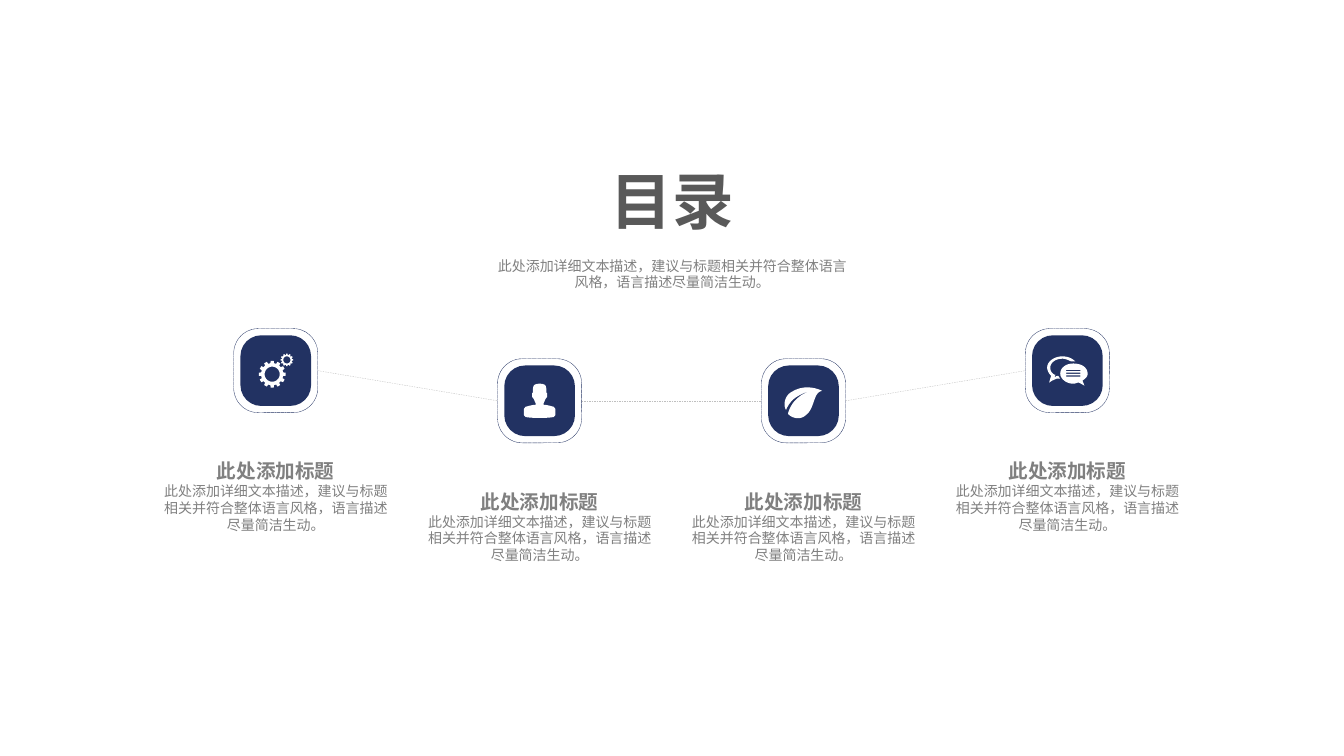
from dataclasses import dataclass
from itertools import pairwise
from math import cos, pi, sin

from lxml.etree import SubElement
from pptx import Presentation
from pptx.dml.color import RGBColor
from pptx.enum.dml import MSO_LINE_DASH_STYLE as Dash
from pptx.enum.shapes import MSO_CONNECTOR_TYPE as Connector, MSO_SHAPE as Preset
from pptx.enum.text import MSO_ANCHOR as Anchor, MSO_AUTO_SIZE as AutoSize, PP_ALIGN as Align
from pptx.oxml.ns import qn
from pptx.util import Cm, Pt

NAVY = RGBColor(0x22, 0x32, 0x62)
DARK_GRAY = RGBColor(0x59, 0x59, 0x59)
GRAY = RGBColor(0x80, 0x80, 0x80)
LIGHT_GRAY = RGBColor(0xBF, 0xBF, 0xBF)
WHITE = RGBColor(0xFF, 0xFF, 0xFF)
FONT = "Noto Sans CJK SC"

HEADING = "此处添加标题"
DESCRIPTION = "此处添加详细文本描述，建议与标题相关并符合整体语言风格，语言描述尽量简洁生动。"

TILE, RING = 1.78, 2.12
CORNER = 0.294
FIRST_X, STEP_X = 6.95, 6.65
HIGH_Y, LOW_Y = 9.34, 10.1
CAPTION_WIDTH, CAPTION_HEIGHT, CAPTION_DROP = 6.3, 2.13, 2.11

Point = tuple[float, float]
Contour = list[Point]
Icon = list[list[Contour]]


@dataclass(frozen=True)
class Section:
    x: float
    y: float
    icon: Icon


def curve(start: Point, *segments: tuple[Point, ...]) -> Contour:
    """Trace segments of one point (straight) or three points (Bézier)."""
    points = [start]
    for segment in segments:
        if len(segment) == 1:
            points.append(segment[0])
            continue
        nodes = (points[-1], *segment)
        for step in range(1, 11):
            t = step / 10
            weights = ((1 - t) ** 3, 3 * t * (1 - t) ** 2, 3 * t * t * (1 - t), t ** 3)
            points.append((sum(w * n[0] for w, n in zip(weights, nodes)),
                           sum(w * n[1] for w, n in zip(weights, nodes))))
    return points


def gear(x: float, y: float, tip: float, root: float, hole: float) -> list[Contour]:
    def polar(radius: float, angle: float) -> Point:
        return x + radius * cos(angle), y + radius * sin(angle)

    teeth = 12
    pitch = 2 * pi / teeth
    rim = [polar(radius, (tooth + offset) * pitch)
           for tooth in range(teeth)
           for radius, offset in ((root, -0.3), (tip, -0.22), (tip, 0.22), (root, 0.3))]
    return [rim, [polar(hole, -2 * pi * step / 40) for step in range(40)]]


def bar(top: float) -> Contour:
    return [(-3, top), (-3, top + 3), (33, top + 3), (33, top)]


# Icon outlines: hundredths of a centimetre from the tile centre
GEARS = [gear(-9, 9, 34, 28, 19), gear(28, -27, 16, 13, 9)]

PERSON_HALF = curve(
    (0, -43), ((6, -43), (12, -42), (15, -38)), ((17, -33), (17, -28), (17, -20)),
    ((19, -20),), ((19, -10),), ((15, -5),), ((12, 2),),
    ((10, 5), (10, 8), (10, 10)), ((18, 10), (27, 13), (35, 15)),
    ((38, 18), (40, 20), (40, 23)), ((40, 33),),
    ((40, 36), (38, 39), (35, 41)), ((24, 43), (12, 43), (0, 43)))
PERSON = [[PERSON_HALF + [(-x, y) for x, y in reversed(PERSON_HALF)]]]

LEAF = [[curve(
    (-11, -10), ((1, -20), (17, -25), (29, -28)), ((14, -25), (-1, -20), (-17, -10)),
    ((-29, -3), (-39, 10), (-44, 23)), ((-52, 10), (-47, -10), (-34, -20)),
    ((6, -48), (47, -25), (47, -25)), ((24, -23), (29, 20), (6, 36)),
    ((-6, 48), (-27, 46), (-39, 33)), ((-39, 30), (-32, 5), (-11, -10)))]]

BACK_BUBBLE = curve(
    (-23, 13), ((-25, 13), (-28, 13), (-33, 18)), ((-30, 10),), ((-33, 10),),
    ((-41, 5), (-43, 0), (-43, -8)), ((-43, -20), (-30, -30), (-13, -30)),
    ((-3, -30), (5, -25), (10, -23)), ((20, -23),),
    ((13, -30), (3, -36), (-13, -36)), ((-33, -36), (-51, -23), (-51, -8)),
    ((-51, 0), (-46, 8), (-41, 13)), ((-46, 30),), ((-38, 25),),
    ((-33, 23), (-28, 20), (-25, 20)), ((-18, 20),), ((-20, 18), (-22, 15), (-23, 13)))
FRONT_BUBBLE = curve(
    (51, 8), ((51, -8), (36, -18), (15, -18)), ((-3, -18), (-18, -8), (-18, 8)),
    ((-18, 20), (-3, 33), (15, 33)), ((20, 33), (25, 30), (28, 30)),
    ((30, 30), (43, 38), (43, 38)), ((38, 25),), ((46, 20), (51, 15), (51, 8)))
BUBBLES = [[BACK_BUBBLE], [FRONT_BUBBLE, *(bar(top) for top in (-2, 5, 12))]]

SECTIONS = [Section(FIRST_X + index * STEP_X, y, icon)
            for index, (y, icon) in enumerate(
                [(HIGH_Y, GEARS), (LOW_Y, PERSON), (LOW_Y, LEAF), (HIGH_Y, BUBBLES)])]


def format_paragraph(paragraph, size: float, color: RGBColor, bold: bool = False) -> None:
    paragraph.alignment = Align.CENTER
    paragraph.space_before = Pt(0)
    font = paragraph.font
    font.size, font.bold, font.name = Pt(size), bold, FONT
    font.color.rgb = color
    defaults = paragraph._p.pPr.find(qn("a:defRPr"))
    SubElement(defaults, qn("a:ea"), typeface=FONT)


def fill_frame(frame, lines: list[tuple], wrap: bool = True) -> None:
    """Write one paragraph per (text, size, color, bold) line."""
    frame.word_wrap = wrap
    frame.auto_size = AutoSize.SHAPE_TO_FIT_TEXT
    frame.vertical_anchor = Anchor.TOP
    frame.text = "\n".join(line[0] for line in lines)
    for paragraph, line in zip(frame.paragraphs, lines):
        format_paragraph(paragraph, *line[1:])


def place(shape, left: float, top: float, width: float, height: float) -> None:
    shape.left, shape.top = Cm(left), Cm(top)
    shape.width, shape.height = Cm(width), Cm(height)


def add_rounded_square(slide, section: Section, side: float):
    square = slide.shapes.add_shape(
        Preset.ROUNDED_RECTANGLE, Cm(section.x - side / 2), Cm(section.y - side / 2),
        Cm(side), Cm(side))
    square.adjustments[0] = CORNER
    square.shadow.inherit = False
    return square


def paint_solid(shape, color: RGBColor) -> None:
    shape.fill.solid()
    shape.fill.fore_color.rgb = color
    shape.line.fill.background()


def format_line(line, color: RGBColor, dash: Dash) -> None:
    line.color.rgb = color
    line.width = Pt(0.25)
    line.dash_style = dash


def add_icon(slide, section: Section) -> None:
    for contours in section.icon:
        fine = [[(x * 10, y * 10) for x, y in contour] for contour in contours]
        builder = slide.shapes.build_freeform(*fine[0][0], scale=Cm(0.001))
        builder.add_line_segments(fine[0][1:])
        for hole in fine[1:]:
            builder.move_to(*hole[0])
            builder.add_line_segments(hole[1:])
        glyph = builder.convert_to_shape(Cm(section.x), Cm(section.y))
        glyph.shadow.inherit = False
        paint_solid(glyph, WHITE)


def add_section(slide, section: Section) -> None:
    paint_solid(add_rounded_square(slide, section, TILE), NAVY)
    ring = add_rounded_square(slide, section, RING)
    ring.fill.background()
    format_line(ring.line, NAVY, Dash.SQUARE_DOT)
    add_icon(slide, section)
    caption = slide.shapes.add_textbox(
        Cm(section.x - CAPTION_WIDTH / 2), Cm(section.y + CAPTION_DROP),
        Cm(CAPTION_WIDTH), Cm(CAPTION_HEIGHT))
    fill_frame(caption.text_frame,
               [(HEADING, 14, GRAY, True), (DESCRIPTION, 10, GRAY)])


def add_link(slide, before: Section, after: Section) -> None:
    link = slide.shapes.add_connector(
        Connector.STRAIGHT, Cm(before.x + RING / 2), Cm(before.y),
        Cm(after.x - RING / 2), Cm(after.y))
    format_line(link.line, LIGHT_GRAY, Dash.DASH)
    SubElement(link._element.spPr, qn("a:effectLst"))


def main() -> None:
    deck = Presentation()
    deck.slide_width, deck.slide_height = Cm(33.87), Cm(19.05)
    slide = deck.slides.add_slide(deck.slide_layouts[0])
    title, subtitle = slide.placeholders
    place(title, 15.11, 3.99, 3.66, 2.13)
    fill_frame(title.text_frame, [("目录", 44, DARK_GRAY, True)], wrap=False)
    place(subtitle, 12.19, 6.35, 9.5, 1.12)
    fill_frame(subtitle.text_frame, [(DESCRIPTION, 10, GRAY)])
    for section in SECTIONS:
        add_section(slide, section)
    for before, after in pairwise(SECTIONS):
        add_link(slide, before, after)
    deck.save("out.pptx")


if __name__ == "__main__":
    main()
